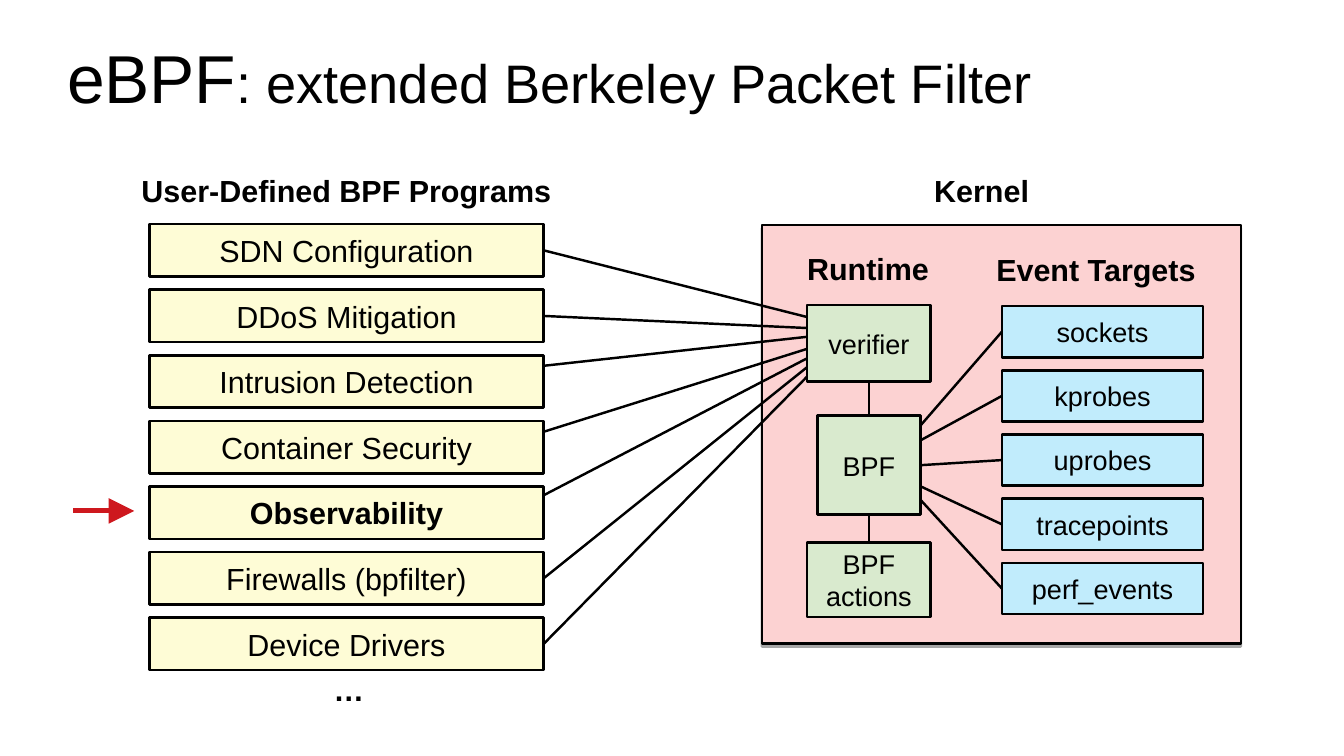
from lxml import etree
from pptx import Presentation
from pptx.dml.color import RGBColor
from pptx.enum.shapes import MSO_CONNECTOR, MSO_SHAPE
from pptx.enum.text import MSO_ANCHOR, MSO_AUTO_SIZE, PP_ALIGN
from pptx.oxml.ns import qn
from pptx.util import Pt

RECT = MSO_SHAPE.RECTANGLE
STRAIGHT = MSO_CONNECTOR.STRAIGHT
CENTER, LEFT = PP_ALIGN.CENTER, PP_ALIGN.LEFT
TOP, MIDDLE = MSO_ANCHOR.TOP, MSO_ANCHOR.MIDDLE
NO_FIT = MSO_AUTO_SIZE.NONE
SITE_LEFT, SITE_RIGHT, SITE_TOP, SITE_BOTTOM = 1, 3, 0, 2

# Content
FONT = "Arial"
TITLE = [("eBPF", 40), (": extended Berkeley Packet Filter", 32)]
HEADINGS = [  # text, centre x, top, width
    ("User-Defined BPF Programs", 204.5, 98, 270),
    ("Kernel", 579.5, 98, 90),
    ("Runtime", 512.5, 144, 100),
    ("Event Targets", 647, 144.5, 140),
    ("…", 206, 392.5, 40),
]
PROGRAMS = [  # text, bold, line start y (None: middle of side), y at verifier
    ("SDN Configuration", False, None, 187.2),
    ("DDoS Mitigation", False, None, 193.7),
    ("Intrusion Detection", False, 216, 198.9),
    ("Container Security", False, 255, 206),
    ("Observability", True, 292.5, 211.6),
    ("Firewalls (bpfilter)", False, None, 216.8),
    ("Device Drivers", False, None, 222.4),
]
TARGETS = [  # text, line end y at the BPF box (None: middle of side)
    ("sockets", 251.2), ("kprobes", 260), ("uprobes", None),
    ("tracepoints", 287.2), ("perf_events", 295.2),
]
RUNTIME = [  # text, top, width, height
    ("verifier", 180, 73, 45.4),
    ("BPF", 245.5, 61, 58.4),
    ("BPF actions", 320.4, 73, 44),
]
COLORS = {
    "ink": "000000", "kernel": "FCD2D2", "program": "FEFCD6",
    "target": "C1ECFC", "runtime": "D9EACE", "marker": "CE181E",
}

# Layout
SLIDE_W, SLIDE_H = 793.44, 446.4
KERNEL = (449.8, 133, 282.8, 247)
PROGRAM_X, PROGRAM_Y, PROGRAM_W, PROGRAM_H, PROGRAM_STEP = 88.3, 132.3, 232.6, 31, 38.75
TARGET_X, TARGET_Y, TARGET_W, TARGET_H, TARGET_STEP = 591.5, 180.8, 118.8, 30.2, 37.9
RUNTIME_CX = 513


def rgb(name):
    return RGBColor.from_string(COLORS[name])


def add_run(p, text, size, bold=False):
    r = p.add_run()
    r.text = text
    r.font.name, r.font.size, r.font.bold = FONT, Pt(size), bold
    r.font.color.rgb = rgb("ink")


def add_text(sp, text, size, bold, anchor):
    tf = sp.text_frame
    tf.word_wrap, tf.vertical_anchor = True, anchor
    p = tf.paragraphs[0]
    p.alignment = CENTER
    add_run(p, text, size, bold)


def add_box(x, y, w, h, color, text="", size=16, bold=False):
    sp = slide.shapes.add_shape(RECT, Pt(x), Pt(y), Pt(w), Pt(h))
    sp.shadow.inherit = False
    sp.fill.solid()
    sp.fill.fore_color.rgb = rgb(color)
    sp.line.color.rgb = rgb("ink")
    sp.line.width = Pt(1.5)
    if text:
        add_text(sp, text, size, bold, MIDDLE)
    return sp


def add_line(x1, y1, x2, y2, color="ink", width=1.45):
    line = slide.shapes.add_connector(STRAIGHT, Pt(x1), Pt(y1), Pt(x2), Pt(y2))
    line.line.color.rgb = rgb(color)
    line.line.width = Pt(width)
    etree.SubElement(line._element.spPr, qn("a:effectLst"))
    return line


prs = Presentation()
prs.slide_width, prs.slide_height = Pt(SLIDE_W), Pt(SLIDE_H)
slide = prs.slides.add_slide(prs.slide_layouts[5])

# Title
title = slide.shapes.title
title.left, title.top, title.width, title.height = Pt(39.6), Pt(18), Pt(714), Pt(54)
tf = title.text_frame
tf.auto_size, tf.word_wrap, tf.vertical_anchor = NO_FIT, True, MIDDLE
tf.margin_left = tf.margin_right = tf.margin_top = tf.margin_bottom = 0
tf.paragraphs[0].alignment = LEFT
for text, size in TITLE:
    add_run(tf.paragraphs[0], text, size)

# Kernel panel with a hard shadow below it
kernel = add_box(*KERNEL, "kernel")
effects = kernel._element.spPr.find(qn("a:effectLst"))
shadow = etree.SubElement(effects, qn("a:outerShdw"), blurRad="0",
                          dist=str(Pt(1.8)), dir="5400000", rotWithShape="0")
shade = etree.SubElement(shadow, qn("a:srgbClr"), val=COLORS["ink"])
etree.SubElement(shade, qn("a:alpha"), val="35000")

# Headings, each on one line
for text, cx, top, w in HEADINGS:
    sp = slide.shapes.add_textbox(Pt(cx - w / 2), Pt(top), Pt(w), Pt(29))
    sp.text_frame.margin_left = sp.text_frame.margin_right = 0
    add_text(sp, text, 18, True, TOP)

# Runtime column, joined from top to bottom
stages = [add_box(RUNTIME_CX - w / 2, top, w, h, "runtime", text)
          for text, top, w, h in RUNTIME]
for upper, lower in zip(stages, stages[1:]):
    line = add_line(RUNTIME_CX, upper.top.pt, RUNTIME_CX, lower.top.pt)
    line.begin_connect(upper, SITE_BOTTOM)
    line.end_connect(lower, SITE_TOP)
verifier, bpf, actions = stages

# Programs and their lines to the verifier
for i, (text, bold, start_y, end_y) in enumerate(PROGRAMS):
    y = PROGRAM_Y + i * PROGRAM_STEP
    sp = add_box(PROGRAM_X, y, PROGRAM_W, PROGRAM_H, "program", text, 18, bold)
    line = add_line(PROGRAM_X + PROGRAM_W, start_y or y + PROGRAM_H / 2,
                    verifier.left.pt, end_y)
    if start_y is None:
        line.begin_connect(sp, SITE_RIGHT)

# Event targets and their lines to the BPF box
bpf_right = bpf.left.pt + bpf.width.pt
for i, (text, end_y) in enumerate(TARGETS):
    y = TARGET_Y + i * TARGET_STEP
    sp = add_box(TARGET_X, y, TARGET_W, TARGET_H, "target", text)
    line = add_line(TARGET_X, y + TARGET_H / 2,
                    bpf_right, end_y or bpf.top.pt + bpf.height.pt / 2)
    line.begin_connect(sp, SITE_LEFT)
    if end_y is None:
        line.end_connect(bpf, SITE_RIGHT)

# Marker arrow at Observability
marker = add_line(43.2, 301.7, 79.2, 301.7, "marker", 3)
etree.SubElement(marker.line._get_or_add_ln(), qn("a:tailEnd"),
                 type="triangle", w="lg", len="lg")

prs.save("out.pptx")
